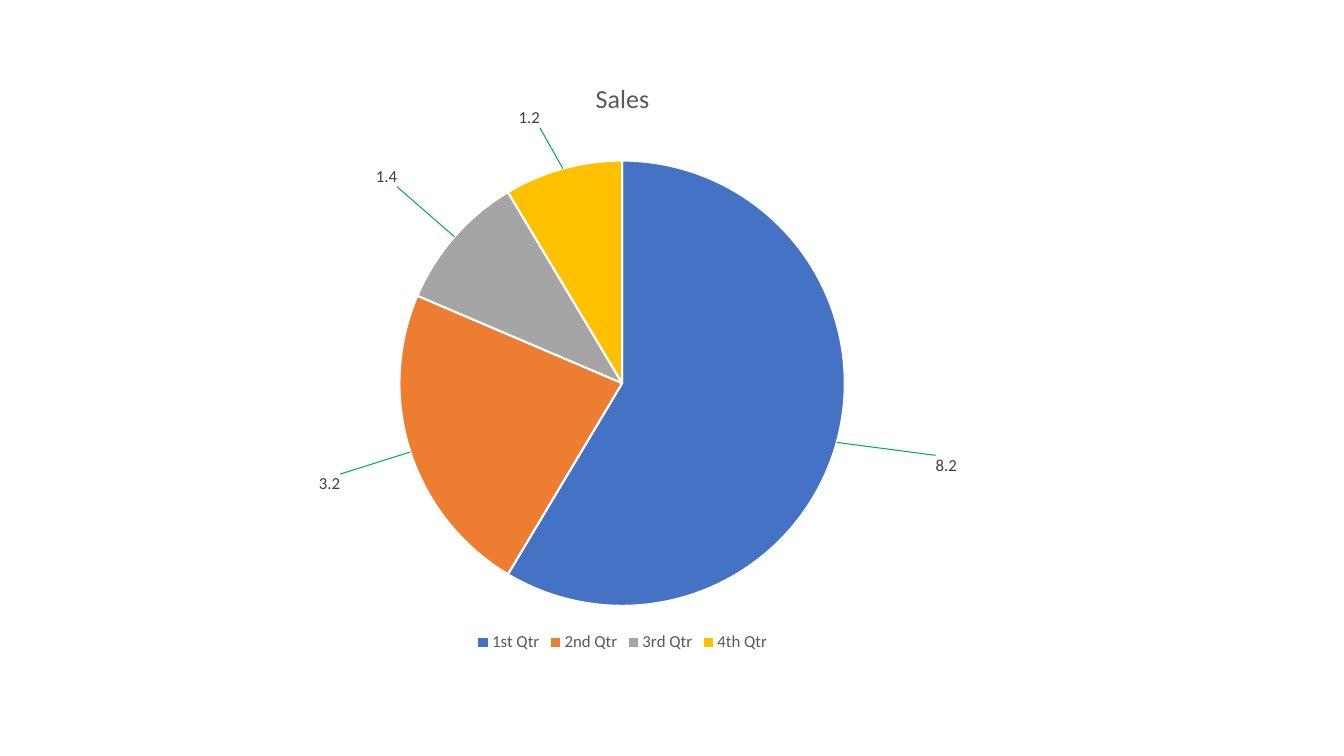
from dataclasses import dataclass

from lxml.etree import Element, SubElement
from pptx import Presentation
from pptx.chart.data import CategoryChartData
from pptx.chart.series import PieSeries
from pptx.dml.color import RGBColor
from pptx.enum.chart import XL_CHART_TYPE, XL_LABEL_POSITION, XL_LEGEND_POSITION
from pptx.oxml.ns import qn
from pptx.text.text import Font
from pptx.util import Inches, Pt


@dataclass(frozen=True)
class Theme:
    """Colours and type sizes of the slide."""
    face: str = "Calibri"
    text: str = "595959"
    label: str = "404040"
    border: str = "FFFFFF"
    leader: str = "00B050"
    title_size: float = 18.6
    body_size: float = 12


@dataclass(frozen=True)
class Quarter:
    """One slice, with its label shift as fractions of the chart."""
    name: str
    sales: float
    color: str
    dx: float
    dy: float


THEME = Theme()
QUARTERS = [
    Quarter("1st Qtr", 8.2, "4472C4", 0.104, 0.019),
    Quarter("2nd Qtr", 3.2, "ED7D31", -0.072, 0.034),
    Quarter("3rd Qtr", 1.4, "A5A5A5", -0.059, -0.077),
    Quarter("4th Qtr", 1.2, "FFC000", -0.024, -0.059),
]
PLOT_AREA = {"layoutTarget": "inner", "xMode": "edge", "yMode": "edge",
             "x": 0.251, "y": 0.171, "w": 0.497, "h": 0.745}


def style_font(font: Font, size: float, color: str) -> None:
    """Apply the theme face with a size and colour."""
    values = {"name": THEME.face, "size": Pt(size), "bold": False}
    for name, value in values.items():
        setattr(font, name, value)
    font.color.rgb = RGBColor.from_string(color)


def make_layout(values: dict[str, str | float]) -> Element:
    """Build a manual chart layout."""
    layout = Element(qn("c:layout"))
    manual = SubElement(layout, qn("c:manualLayout"))
    for name, value in values.items():
        SubElement(manual, qn(f"c:{name}"), val=str(value))
    return layout


def style_slice(series: PieSeries, index: int, quarter: Quarter) -> None:
    """Colour a slice and move its label outward."""
    point = series.points[index]
    fmt = point.format
    fmt.fill.solid()
    fmt.fill.fore_color.rgb = RGBColor.from_string(quarter.color)
    fmt.line.color.rgb = RGBColor.from_string(THEME.border)
    fmt.line.width = Pt(1.5)
    label = point.data_label
    style_font(label.font, THEME.body_size, THEME.label)
    label.position = XL_LABEL_POSITION.OUTSIDE_END
    dlbl = series.data_labels._element.findall(qn("c:dLbl"))[index]
    dlbl.insert(1, make_layout({"x": quarter.dx, "y": quarter.dy}))


def add_leader_lines(series: PieSeries) -> None:
    """Join the labels to their slices with thin lines."""
    dlbls = series.data_labels._element
    show = dlbls.find(qn("c:showLeaderLines"))
    if show is None:
        show = SubElement(dlbls, qn("c:showLeaderLines"))
    show.set("val", "1")
    lines = Element(qn("c:leaderLines"))
    show.addnext(lines)
    sp_pr = SubElement(lines, qn("c:spPr"))
    ln = SubElement(sp_pr, qn("a:ln"), w=str(Pt(0.75)))
    fill = SubElement(ln, qn("a:solidFill"))
    SubElement(fill, qn("a:srgbClr"), val=THEME.leader)


def main() -> None:
    """Build the sales pie slide."""
    prs = Presentation()
    prs.slide_width, prs.slide_height = Inches(13.33), Inches(7.5)
    s = prs.slides.add_slide(prs.slide_layouts[6])

    data = CategoryChartData()
    data.categories = [q.name for q in QUARTERS]
    data.add_series("Sales", [q.sales for q in QUARTERS])
    chart = s.shapes.add_chart(XL_CHART_TYPE.PIE, Inches(1.73), Inches(0.58),
                               Inches(8.89), Inches(5.93), data).chart
    style_font(chart.font, THEME.body_size, THEME.text)

    chart.has_title = True
    p = chart.chart_title.text_frame.paragraphs[0]
    r = p.add_run()
    r.text = "Sales"
    style_font(r.font, THEME.title_size, THEME.text)

    chart.has_legend = True
    chart.legend.position = XL_LEGEND_POSITION.BOTTOM
    chart.legend.include_in_layout = False
    style_font(chart.legend.font, THEME.body_size, THEME.text)

    plot = chart.plots[0]
    plot.vary_by_categories = True
    area = plot._element.getparent()
    for old in area.findall(qn("c:layout")):
        area.remove(old)
    area.insert(0, make_layout(PLOT_AREA))

    series = plot.series[0]
    labels = series.data_labels
    labels.show_value = True
    labels.position = XL_LABEL_POSITION.OUTSIDE_END
    style_font(labels.font, THEME.body_size, THEME.label)
    for index, quarter in enumerate(QUARTERS):
        style_slice(series, index, quarter)
    add_leader_lines(series)

    prs.save("out.pptx")


if __name__ == "__main__":
    main()
